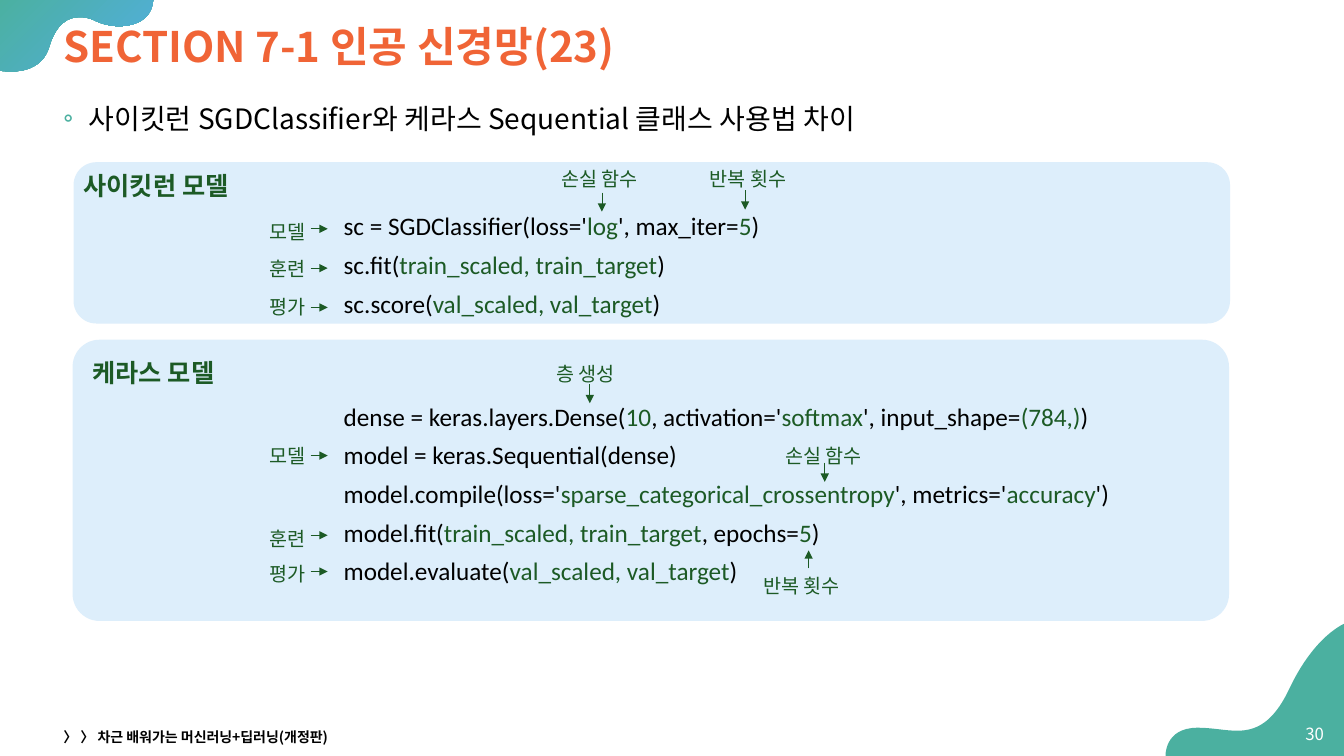
"""Build a slide that compares SGDClassifier with the Keras Sequential class."""
import lxml.etree
import pptx
import pptx.dml.color
import pptx.enum.shapes
import pptx.enum.text
import pptx.oxml.ns
import pptx.util

Inches = pptx.util.Inches
Pt = pptx.util.Pt
ANCHOR = pptx.enum.text.MSO_ANCHOR
COLORS = {"teal": "4BB0A0", "blue": "52AEE1", "orange": "F06436", "black": "000000",
          "white": "FFFFFF", "green": "1C5A25", "pale": "DDEEFB"}
NOTO, CODE = "Noto Sans CJK KR", "Calibri"


class Deck:
    """Holds the style and the current slide."""

    def __init__(self):
        self.file = pptx.Presentation()
        self.file.slide_width = Inches(13.33)
        self.file.slide_height = Inches(7.5)
        self.slide = self.file.slides.add_slide(self.file.slide_layouts[6])

    def color(self, name):
        return pptx.dml.color.RGBColor.from_string(COLORS[name])

    def node(self, tag, **attrs):
        return lxml.etree.Element(pptx.oxml.ns.qn(tag), **attrs)

    def wave(self, start, steps, fill, fade=None):
        dots = [step[i:i + 2] for step in steps for i in range(0, len(step), 2)]
        pen = self.slide.shapes.build_freeform(*map(Inches, start), scale=1.0)
        pen.add_line_segments([tuple(map(Inches, dot)) for dot in dots], close=True)
        shape = pen.convert_to_shape()
        lines = iter(shape._element.findall(".//" + pptx.oxml.ns.qn("a:lnTo")))
        for step in steps:
            group = [next(lines) for i in range(len(step) // 2)]
            if len(group) == 3:
                curve = self.node("a:cubicBezTo")
                group[0].addprevious(curve)
                for line in group:
                    curve.append(line[0])
                    line.getparent().remove(line)
        shape.shadow.inherit = False
        shape.line.fill.background()
        if fade:
            shape.fill.gradient()
            shape.fill.gradient_angle = 315
            for stop, name, place in zip(shape.fill.gradient_stops, (fill, fade), (0, 1)):
                stop.color.rgb = self.color(name)
                stop.position = place
        else:
            shape.fill.solid()
            shape.fill.fore_color.rgb = self.color(fill)

    def panel(self, left, top, width, height, round_by):
        shape = self.slide.shapes.add_shape(
            pptx.enum.shapes.MSO_SHAPE.ROUNDED_RECTANGLE,
            *map(Inches, (left, top, width, height)))
        shape.adjustments[0] = round_by
        shape.shadow.inherit = False
        shape.fill.solid()
        shape.fill.fore_color.rgb = self.color("pale")
        shape.line.fill.background()

    def frame(self, left, top, width, height, wrap=True, anchor=ANCHOR.TOP):
        box = self.slide.shapes.add_textbox(*map(Inches, (left, top, width, height)))
        frame = box.text_frame
        frame.word_wrap = wrap
        frame.vertical_anchor = anchor
        return frame

    def style(self, para, size, name, color=None, bold=False):
        para.font.size = Pt(size)
        para.font.name = name
        para.font.bold = bold
        if color:
            para.font.color.rgb = self.color(color)
        latin = para._p.find(".//" + pptx.oxml.ns.qn("a:latin"))
        latin.addnext(self.node("a:ea", typeface=NOTO))

    def text(self, place, words, size, color, name=NOTO, bold=False, wrap=True,
             anchor=ANCHOR.MIDDLE):
        para = self.frame(*place, wrap, anchor).paragraphs[0]
        para.text = words
        self.style(para, size, name, color, bold)
        return para

    def bullet(self, place, words):
        para = self.text(place, words, 20, "black", anchor=ANCHOR.TOP)
        para.line_spacing = 1.2
        para.space_before = Pt(10)
        props = para._p.get_or_add_pPr()
        props.set("marL", str(Inches(0.25)))
        props.set("indent", str(Inches(-0.25)))
        tint = self.node("a:buClr")
        tint.append(self.node("a:srgbClr", val=COLORS["teal"]))
        last = props.find(pptx.oxml.ns.qn("a:defRPr"))
        for item in (tint, self.node("a:buFont", typeface=CODE),
                     self.node("a:buChar", char="◦")):
            last.addprevious(item)

    def code(self, place, lines):
        frame = self.frame(*place)
        for i, line in enumerate(lines):
            para = frame.add_paragraph() if i else frame.paragraphs[0]
            para.space_before = Pt(6)
            self.style(para, 18, CODE)
            for j, part in enumerate(line.split("|")):
                run = para.add_run()
                run.text = part
                run.font.color.rgb = self.color("green" if j % 2 else "black")

    def head(self, left, top, words):
        self.text((left, top, 2.19, 0.4), words, 18, "green", CODE, True, anchor=ANCHOR.TOP)

    def label(self, left, top, words, width=1.06):
        self.text((left, top, width, 0.34), words, 14, "green", CODE, wrap=False,
                  anchor=ANCHOR.TOP)

    def arrow(self, *ends):
        line = self.slide.shapes.add_connector(
            pptx.enum.shapes.MSO_CONNECTOR.STRAIGHT, *map(Inches, ends))
        line.line.color.rgb = self.color("green")
        line.line.width = Pt(0.5)
        props = line._element.spPr
        props.find(pptx.oxml.ns.qn("a:ln")).append(self.node("a:tailEnd", type="triangle"))
        props.append(self.node("a:effectLst"))

    def steps(self, *rows):
        for words, (top, level) in zip(("모델", "훈련", "평가"), rows):
            self.label(2.57, top, words, 0.59)
            self.arrow(3.08, level, 3.25, level)

    def note(self, left, top, words, x, start, end, width=1.06):
        self.label(left, top, words, width)
        self.arrow(x, start, x, end)


def main():
    deck = Deck()
    deck.wave((1.52, -0.02), [
        (-0.01, -0.02), (-0.01, 0.7), (-0.01, 0.7, 0.04, 0.71, 0.11, 0.71),
        (0.24, 0.71, 0.43, 0.67, 0.49, 0.46), (0.56, 0.23, 0.68, 0.17, 0.79, 0.17),
        (0.84, 0.17, 0.89, 0.18, 0.93, 0.2), (1.01, 0.24, 1.1, 0.26, 1.18, 0.26),
        (1.37, 0.26, 1.52, 0.17, 1.52, -0.02)], "teal", "blue")
    deck.wave((13.35, 6.18), [
        (13.35, 6.18, 13.04, 6.29, 12.78, 6.85), (12.62, 7.18, 12.45, 7.25, 12.27, 7.25),
        (12.15, 7.25, 12.02, 7.22, 11.88, 7.22), (11.54, 7.22, 11.56, 7.51, 11.56, 7.51),
        (13.35, 7.51)], "teal")
    deck.bullet((0.53, 0.89, 11.92, 5.96),
                "사이킷런 SGDClassifier와 케라스 Sequential 클래스 사용법 차이")
    title = deck.text((0.53, 0.12, 12.34, 0.73), "SECTION 7-1 인공 신경망(23)", 30, "orange",
                      bold=True)
    title.line_spacing = 0.9
    page = deck.text((12.79, 7.08, 0.44, 0.4), "30", 12, "white")
    page.alignment = pptx.enum.text.PP_ALIGN.RIGHT
    deck.text((0.53, 7.19, 4.5, 0.24), "〉 〉 차근 배워가는 머신러닝+딥러닝(개정판)", 10, "black",
              bold=True)

    deck.panel(0.73, 1.61, 11.47, 1.6, 0.141)
    deck.code((3.31, 2.04, 7.38, 1.18), [
        "sc = SGDClassifier(loss='|log|', max_iter=|5|)",
        "sc.fit(|train_scaled, train_target|)",
        "sc.score(|val_scaled, val_target|)"])
    deck.head(0.73, 1.64, "사이킷런 모델")
    deck.steps((2.13, 2.27), (2.5, 2.66), (2.88, 3.05))
    deck.note(5.47, 1.61, "손실 함수", 5.97, 1.91, 2.1)
    deck.note(6.94, 1.61, "반복 횟수", 7.39, 1.89, 2.08)

    deck.panel(0.72, 3.37, 11.47, 2.79, 0.096)
    deck.code((3.31, 3.93, 8.69, 1.95), [
        "dense = keras.layers.Dense(|10|, activation='|softmax|', input_shape=|(784,)|)",
        "model = keras.Sequential(dense)",
        "model.compile(loss='|sparse_categorical_crossentropy|', metrics='|accuracy|')",
        "model.fit(|train_scaled, train_target|, epochs=|5|)",
        "model.evaluate(|val_scaled, val_target|)"])
    deck.head(0.82, 3.5, "케라스 모델")
    deck.steps((4.35, 4.52), (5.18, 5.31), (5.53, 5.67))
    deck.note(7.69, 4.35, "손실 함수", 8.18, 4.59, 4.78)
    deck.note(7.47, 5.64, "반복 횟수", 8.02, 5.64, 5.46)
    deck.note(5.42, 3.54, "층 생성", 5.85, 3.81, 4, 0.83)
    deck.file.save("out.pptx")


if __name__ == "__main__":
    main()
